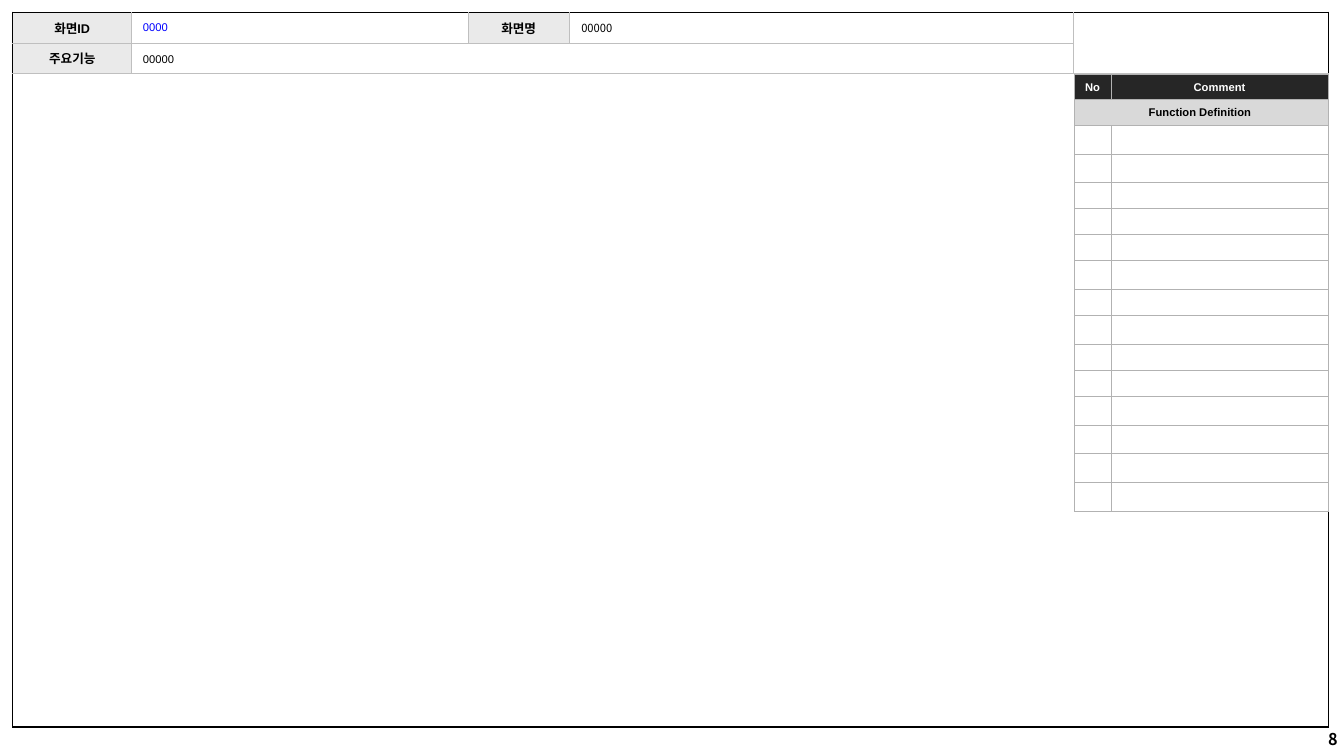
from dataclasses import dataclass

from lxml.etree import SubElement
from pptx import Presentation
from pptx.dml.color import RGBColor
from pptx.enum.text import MSO_ANCHOR, PP_ALIGN
from pptx.oxml.ns import qn
from pptx.slide import Slide
from pptx.table import Table, _Cell
from pptx.text.text import _Paragraph
from pptx.util import Cm, Pt


@dataclass(frozen=True)
class Theme:
    latin: str = "Arial"
    korean: str = "Noto Sans CJK KR"
    black: str = "000000"
    white: str = "FFFFFF"
    blue: str = "0000FF"
    label_fill: str = "EAEAEA"
    heading_fill: str = "262626"
    section_fill: str = "D9D9D9"
    form_line: str = "BFBFBF"
    comment_line: str = "B2B2B2"
    body: float = 8
    label: float = 9
    page: float = 11.6


@dataclass(frozen=True)
class Line:
    color: str
    width: float


@dataclass(frozen=True)
class Style:
    size: float
    color: str
    bold: bool = False
    font: str = "Arial"
    align: PP_ALIGN = PP_ALIGN.LEFT
    spacing: float = 1.0
    before: float = 0


@dataclass(frozen=True)
class Field:
    text: str
    left: float
    top: float
    width: float
    height: float
    style: Style
    anchor: MSO_ANCHOR = MSO_ANCHOR.TOP
    inset_x: float = 0.25
    inset_y: float = 0.13


@dataclass(frozen=True)
class Entry:
    row: int
    col: int
    text: str
    fill: str
    style: Style
    inset_y: float


THEME = Theme()
FRAME = Line(THEME.black, 1)
FORM_GRID = Line(THEME.form_line, 0.5)
COMMENT_GRID = Line(THEME.comment_line, 0.25)

VALUE = Style(THEME.body, THEME.black)
LABEL = Style(THEME.label, THEME.black, True, align=PP_ALIGN.CENTER, before=1.8)
HEADING = Style(THEME.body, THEME.white, True, align=PP_ALIGN.CENTER, spacing=1.1, before=1.6)
SECTION = Style(THEME.body, THEME.black, True, align=PP_ALIGN.CENTER, spacing=1.1, before=1.6)
TITLE = Style(THEME.body, THEME.black, font=THEME.korean)
PAGE = Style(THEME.page, THEME.black, True, THEME.korean, PP_ALIGN.RIGHT, 1.9)

FORM_COLS = [3.0, 8.48, 2.54, 12.7, 6.43]
FORM_ROWS = [0.79, 0.74, 16.48]
FORM_SPANS = [(0, 4, 1, 4), (1, 1, 1, 3), (2, 0, 2, 4)]
FORM_ENTRIES = [
    Entry(0, 0, "화면ID", THEME.label_fill, LABEL, 0.05),
    Entry(0, 2, "화면명", THEME.label_fill, LABEL, 0.05),
    Entry(1, 0, "주요기능", THEME.label_fill, LABEL, 0.05),
]

COMMENT_COLS = [0.91, 5.49]
COMMENT_ROWS = [0.58, 0.66, 0.71, 0.71, 0.66, 0.66, 0.66, 0.73,
                0.66, 0.71, 0.66, 0.66, 0.73, 0.71, 0.73, 0.73]
COMMENT_SPANS = [(1, 0, 1, 1)]
COMMENT_ENTRIES = [
    Entry(0, 0, "No", THEME.heading_fill, HEADING, 0.13),
    Entry(0, 1, "Comment", THEME.heading_fill, HEADING, 0.13),
    Entry(1, 0, "Function Definition ", THEME.section_fill, SECTION, 0.13),
]

FIELDS = [
    Field("8", 32.69, 17.81, 1.27, 1.19, PAGE),
    Field("00000", 3.35, 1.19, 23.7, 0.61, VALUE),
    Field("0000", 3.35, 0.38, 8.38, 0.61, Style(THEME.body, THEME.blue)),
    Field("00000", 14.35, 0.36, 12.73, 0.71, TITLE, MSO_ANCHOR.MIDDLE, 0.3, 0.15),
]


def write(p: _Paragraph, text: str, style: Style) -> None:
    p.text = text
    p.alignment = style.align
    p.line_spacing = style.spacing
    p.space_before = Pt(style.before)
    for r in p.runs:
        r.font.name = style.font
        r.font.size = Pt(style.size)
        r.font.bold = style.bold
        r.font.color.rgb = RGBColor.from_string(style.color)
        SubElement(r.font._element, qn("a:ea"), typeface=THEME.korean)


def fill_cell(cell: _Cell, color: str) -> None:
    cell.fill.solid()
    cell.fill.fore_color.rgb = RGBColor.from_string(color)


def set_borders(cell: _Cell, sides: dict[str, Line]) -> None:
    """Insert border lines ahead of the cell fill, as the schema requires."""
    tc_pr = cell._tc.get_or_add_tcPr()
    for i, (side, line) in enumerate(sides.items()):
        ln = SubElement(tc_pr, qn(f"a:{side}"), w=str(Pt(line.width)))
        solid = SubElement(ln, qn("a:solidFill"))
        SubElement(solid, qn("a:srgbClr"), val=line.color)
        tc_pr.insert(i, ln)


def draw_borders(table: Table, grid: Line, frame: Line) -> None:
    """Use the frame line on outer edges and the grid line on inner ones."""
    n_rows, n_cols = len(table.rows), len(table.columns)
    for row in range(n_rows):
        for col in range(n_cols):
            cell = table.cell(row, col)
            if cell.is_spanned:
                continue
            height = cell.span_height if cell.is_merge_origin else 1
            width = cell.span_width if cell.is_merge_origin else 1
            outer = {"lnL": col == 0, "lnR": col + width == n_cols,
                     "lnT": row == 0, "lnB": row + height == n_rows}
            set_borders(cell, {side: frame if edge else grid for side, edge in outer.items()})


def add_grid(s: Slide, left: float, top: float, cols: list[float], rows: list[float],
             spans: list[tuple[int, int, int, int]], entries: list[Entry],
             grid: Line, frame: Line) -> None:
    table = s.shapes.add_table(len(rows), len(cols), Cm(left), Cm(top),
                               Cm(sum(cols)), Cm(sum(rows))).table
    table.first_row = table.horz_banding = False
    for column, width in zip(table.columns, cols):
        column.width = Cm(width)
    for row, height in zip(table.rows, rows):
        row.height = Cm(height)
    for row, col, last_row, last_col in spans:
        table.cell(row, col).merge(table.cell(last_row, last_col))
    for cell in table.iter_cells():
        fill_cell(cell, THEME.white)
        cell.margin_top = cell.margin_bottom = Cm(0.05)
        end = cell.text_frame.paragraphs[0]._p.get_or_add_endParaRPr()
        end.set("sz", str(int(THEME.body * 100)))
    for entry in entries:
        cell = table.cell(entry.row, entry.col)
        fill_cell(cell, entry.fill)
        cell.vertical_anchor = MSO_ANCHOR.MIDDLE
        cell.margin_left = cell.margin_right = Cm(0.13)
        cell.margin_top = cell.margin_bottom = Cm(entry.inset_y)
        write(cell.text_frame.paragraphs[0], entry.text, entry.style)
    draw_borders(table, grid, frame)


def add_field(s: Slide, field: Field) -> None:
    sp = s.shapes.add_textbox(Cm(field.left), Cm(field.top), Cm(field.width), Cm(field.height))
    tf = sp.text_frame
    tf.word_wrap = True
    tf.vertical_anchor = field.anchor
    tf.margin_left = tf.margin_right = Cm(field.inset_x)
    tf.margin_top = tf.margin_bottom = Cm(field.inset_y)
    write(tf.paragraphs[0], field.text, field.style)


def main() -> None:
    prs = Presentation()
    prs.slide_width, prs.slide_height = Cm(33.87), Cm(19.05)
    s = prs.slides.add_slide(prs.slide_layouts[6])
    add_grid(s, 0.32, 0.31, FORM_COLS, FORM_ROWS, FORM_SPANS, FORM_ENTRIES, FORM_GRID, FRAME)
    for field in FIELDS:
        add_field(s, field)
    add_grid(s, 27.08, 1.87, COMMENT_COLS, COMMENT_ROWS, COMMENT_SPANS, COMMENT_ENTRIES,
             COMMENT_GRID, COMMENT_GRID)
    prs.save("out.pptx")


if __name__ == "__main__":
    main()
